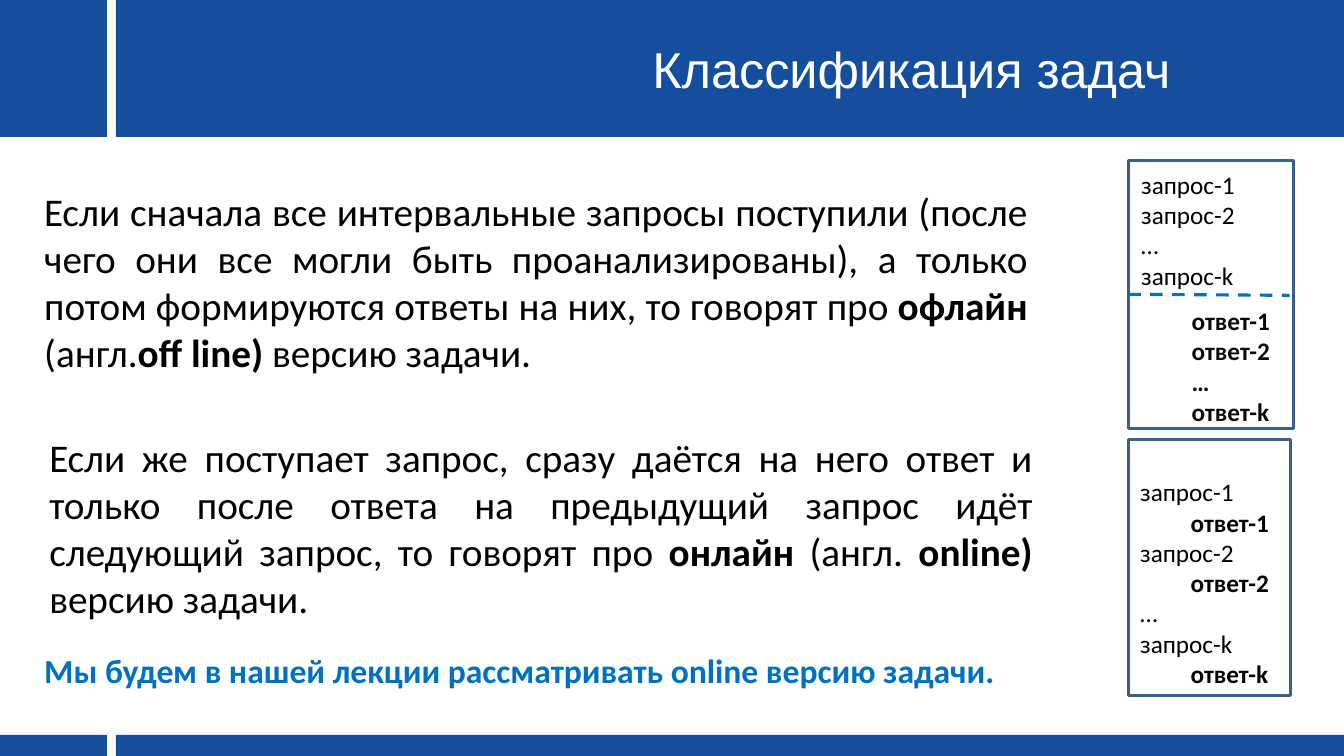
from dataclasses import dataclass

from lxml import etree
from pptx import Presentation
from pptx.dml.color import RGBColor
from pptx.enum import dml, shapes, text
from pptx.oxml import ns
from pptx.util import Inches, Pt


@dataclass(frozen=True)
class Theme:
    band: RGBColor = RGBColor.from_string("154E9D")
    frame: RGBColor = RGBColor.from_string("3A5F8C")
    accent: RGBColor = RGBColor.from_string("0070C0")
    white: RGBColor = RGBColor.from_string("FFFFFF")
    black: RGBColor = RGBColor.from_string("000000")
    answer: RGBColor = RGBColor.from_string("0A0A0C")
    title_size: int = 36
    body_size: int = 28
    note_size: int = 24
    list_size: int = 18


theme = Theme()

presentation = Presentation()
presentation.slide_width = Inches(13.33)
presentation.slide_height = Inches(7.5)
slide = presentation.slides.add_slide(presentation.slide_layouts[6])


def add_rectangle(left, top, width, height, fill=None):
    shape = slide.shapes.add_shape(
        shapes.MSO_SHAPE.RECTANGLE, Inches(left), Inches(top), Inches(width), Inches(height)
    )
    shape.shadow.inherit = False
    if fill is None:
        shape.fill.background()
        shape.line.color.rgb = theme.frame
        shape.line.width = Pt(2)
    else:
        shape.fill.solid()
        shape.fill.fore_color.rgb = fill
        shape.line.fill.background()


def add_text(box, paragraphs, size, color, font="Calibri", align=text.PP_ALIGN.LEFT,
             anchor=text.MSO_ANCHOR.TOP):
    frame = slide.shapes.add_textbox(*map(Inches, box)).text_frame
    frame.word_wrap = True
    frame.vertical_anchor = anchor
    for index, (indent, runs) in enumerate(paragraphs):
        paragraph = frame.add_paragraph() if index else frame.paragraphs[0]
        paragraph.alignment = align
        if indent:
            paragraph.level = 1
            properties = paragraph._p.get_or_add_pPr()
            properties.set("marL", str(Inches(indent)))
            properties.set("indent", "0")
        for content, bold in runs:
            run = paragraph.add_run()
            run.text = content
            run.font.name = font
            run.font.size = Pt(size)
            run.font.bold = bold
            run.font.color.rgb = color


for top, height in [(0, 1.36), (7.29, 0.21)]:
    for left, width in [(0, 1.06), (1.15, 12.18)]:
        add_rectangle(left, top, width, height, theme.band)

add_text((5.2, 0.16, 7.68, 1.04), [(0, [("Классификация задач", False)])],
         theme.title_size, theme.white, "Arial", text.PP_ALIGN.CENTER, text.MSO_ANCHOR.MIDDLE)

offline = [
    ("Если сначала все интервальные запросы поступили (после чего они все могли быть "
     "проанализированы), а только потом формируются ответы на них, то говорят про ", False),
    ("офлайн", True),
    (" (англ.", False),
    ("off line) ", True),
    ("версию задачи. ", False),
]
online = [
    ("Если же поступает запрос, сразу даётся на него ответ и только после ответа на "
     "предыдущий запрос идёт следующий запрос, то говорят про ", False),
    ("онлайн", True),
    (" (англ. ", False),
    ("оnline) ", True),
    ("версию задачи. ", False),
]
for left, top, runs in [(0.34, 1.81, offline), (0.39, 4.25, online)]:
    add_text((left, top, 9.95, 1.99), [(0, runs)], theme.body_size, theme.black,
             align=text.PP_ALIGN.JUSTIFY)

add_text((0.34, 6.4, 10, 0.5),
         [(0, [("Мы будем в нашей лекции рассматривать online версию задачи.", True)])],
         theme.note_size, theme.accent)

add_rectangle(11.19, 1.59, 1.64, 2.66)
add_rectangle(11.19, 4.36, 1.61, 2.54)

requests = [(0, [(line, False)]) for line in ("запрос-1", "запрос-2", "…", "запрос-k")]
answers = [(0.5, [(line, True)]) for line in ("ответ-1", "ответ-2", "…", "ответ-k")]
dialogue = [requests[0], answers[0], requests[1], answers[1], requests[2], requests[3], answers[3]]

add_text((11.22, 1.63, 1.57, 1.31), requests, theme.list_size, theme.black)
add_text((11.22, 2.98, 1.57, 1.31), answers, theme.list_size, theme.answer)
add_text((11.21, 4.68, 1.57, 2.22), dialogue, theme.list_size, theme.black)

divider = slide.shapes.add_connector(
    shapes.MSO_CONNECTOR.STRAIGHT, Inches(11.19), Inches(2.92), Inches(12.79), Inches(2.93)
)
divider.line.color.rgb = theme.accent
divider.line.width = Pt(2.25)
divider.line.dash_style = dml.MSO_LINE.DASH
etree.SubElement(divider._element.spPr, ns.qn("a:effectLst"))

presentation.save("out.pptx")
